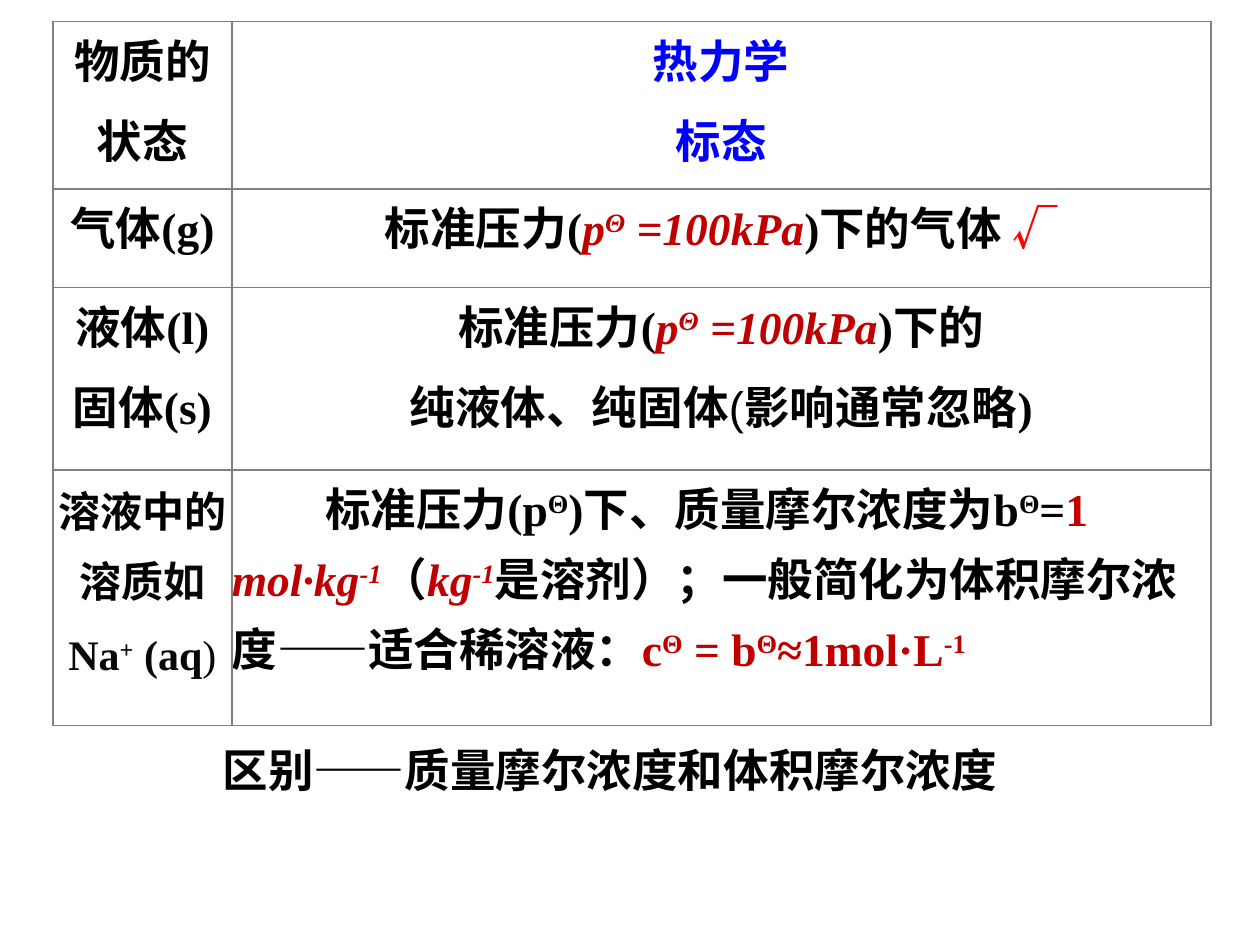
from lxml.etree import SubElement
from pptx import Presentation
from pptx.dml.color import RGBColor
from pptx.enum.text import MSO_AUTO_SIZE as AutoSize, PP_ALIGN as Align
from pptx.oxml.ns import qn
from pptx.util import Inches, Pt

BLACK, SOFT_BLACK, BLUE, DARK_RED, RED = "000000", "080808", "0000FF", "C00000", "FF0000"
WHITE, GREY = "FFFFFF", "808080"

# Run styles
BLUE_HEAD = {"color": BLUE}
KEY = {"color": DARK_RED}
KEY_SUP = {"color": DARK_RED, "sup": True}
VALUE = {"color": DARK_RED, "italic": True}
VALUE_SUP = {"color": DARK_RED, "italic": True, "sup": True}
SUP = {"sup": True}
SOLUTE = {"size": 24}
ION = {"size": 24, "color": SOFT_BLACK}

# Content: rows of cells, cells of paragraphs, paragraphs of (text, style) runs
PRESSURE = [("标准压力(", {}), ("p", VALUE), ("Θ", VALUE_SUP), (" =100kPa", VALUE)]
STATES = [
    ([[("物质的", {})], [("状态", {})]],
     [[("热力学", BLUE_HEAD)], [("标态", BLUE_HEAD)]]),
    ([[("气体(g)", {})]],
     [PRESSURE + [(")下的气体 ", {}), ("√", {"color": RED})]]),
    ([[("液体(l)", {})], [("固体(s)", {})]],
     [PRESSURE + [(")下的", {})],
      [("纯液体、纯固体", {}), ("(", {"font": "Arial", "bold": False}),
       ("影响通常忽略)", {})]]),
    ([[("溶液中的溶质", SOLUTE), ("如Na", ION), ("+", {**ION, "sup": True}),
       (" (aq", ION), (")", {**ION, "bold": False})]],
     [[("标准压力(p", {}), ("Θ", SUP), (")下、质量摩尔浓度为b", {}), ("Θ", SUP),
       ("=", {}), ("1 ", KEY), ("mol·kg", VALUE), ("-1", VALUE_SUP), ("（", {}),
       ("kg", VALUE), ("-1", VALUE_SUP),
       ("是溶剂）；一般简化为体积摩尔浓度——适合稀溶液：", {}),
       ("c", KEY), ("Θ", KEY_SUP), (" = b", KEY), ("Θ", KEY_SUP),
       ("≈1mol·L", KEY), ("-1", KEY_SUP)]]),
]
DIFFERENCE = [("区别——质量摩尔浓度和体积摩尔浓度", {})]

COLUMN_WIDTHS = [1.42, 7.77]
ROW_HEIGHTS = [1.33, 0.78, 1.45, 2.03]


def rgb(value):
    return RGBColor.from_string(value)


def add_runs(paragraph, runs):
    for text, style in runs:
        run = paragraph.add_run()
        run.text = text
        font = run.font
        font.name = style.get("font", "Times New Roman")
        font.size = Pt(style.get("size", 26))
        font.bold = style.get("bold", True)
        font.italic = style.get("italic", False)
        font.color.rgb = rgb(style.get("color", BLACK))
        if style.get("sup"):
            font._element.set("baseline", "30000")


def add_borders(cell):
    properties = cell._tc.get_or_add_tcPr()
    for position, side in enumerate(("lnL", "lnR", "lnT", "lnB")):
        line = SubElement(properties, qn(f"a:{side}"), w=str(Pt(1)))
        fill = SubElement(line, qn("a:solidFill"))
        SubElement(fill, qn("a:srgbClr"), val=GREY)
        properties.insert(position, line)


def fill_cell(cell, paragraphs):
    cell.margin_left = cell.margin_right = cell.margin_top = cell.margin_bottom = 0
    cell.fill.solid()
    cell.fill.fore_color.rgb = rgb(WHITE)
    add_borders(cell)
    frame = cell.text_frame
    for index, runs in enumerate(paragraphs):
        paragraph = frame.add_paragraph() if index else frame.paragraphs[0]
        paragraph.alignment = Align.CENTER
        paragraph.line_spacing = Pt(40)
        if index:
            paragraph.space_before = Pt(5.7)
        add_runs(paragraph, runs)


prs = Presentation()
prs.slide_width, prs.slide_height = Inches(10), Inches(7.5)
slide = prs.slides.add_slide(prs.slide_layouts[6])

# Table of standard states
states = slide.shapes.add_table(
    len(ROW_HEIGHTS), len(COLUMN_WIDTHS), Inches(0.42), Inches(0.17),
    Inches(sum(COLUMN_WIDTHS)), Inches(sum(ROW_HEIGHTS))).table
states.first_row = states.horz_banding = False
for column, width in zip(states.columns, COLUMN_WIDTHS):
    column.width = Inches(width)
for row, height, contents in zip(states.rows, ROW_HEIGHTS, STATES):
    row.height = Inches(height)
    for cell, paragraphs in zip(row.cells, contents):
        fill_cell(cell, paragraphs)

# The solution definition runs as left-aligned text with an indented first line
definition = states.cell(3, 1).text_frame.paragraphs[0]
definition.alignment = Align.LEFT
definition._p.get_or_add_pPr().set("indent", str(Inches(0.74)))

# Remark below the table
remark = slide.shapes.add_textbox(
    Inches(1.67), Inches(5.92), Inches(6.43), Inches(0.45)).text_frame
remark.word_wrap = False
remark.auto_size = AutoSize.SHAPE_TO_FIT_TEXT
remark.paragraphs[0].line_spacing = 0.8
add_runs(remark.paragraphs[0], DIFFERENCE)

prs.save("out.pptx")
